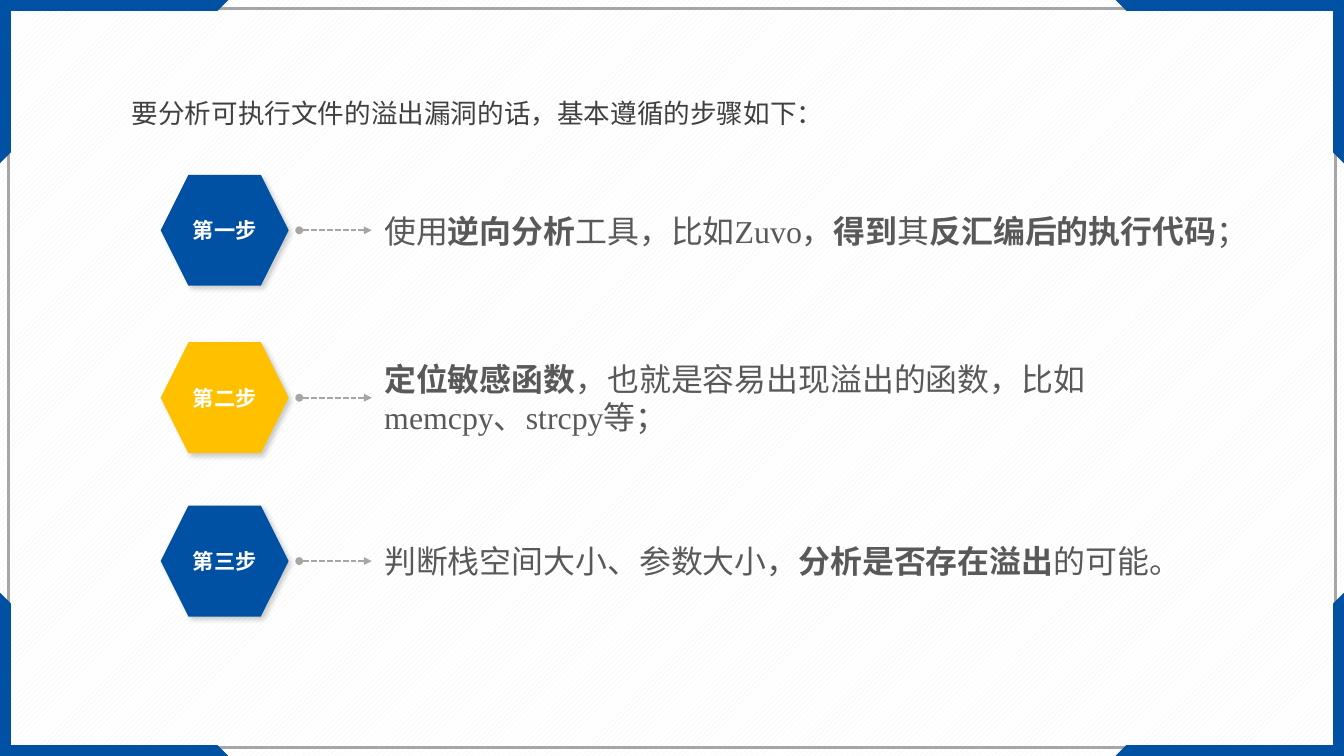
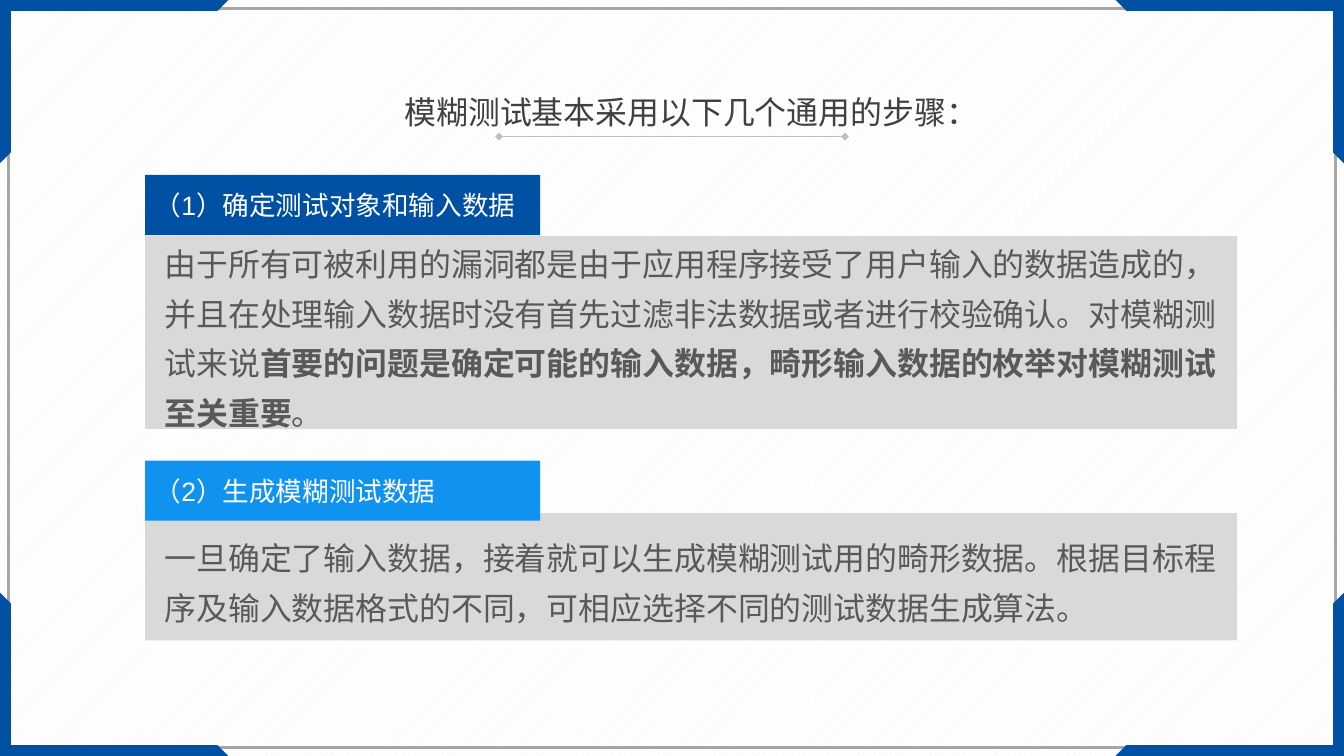
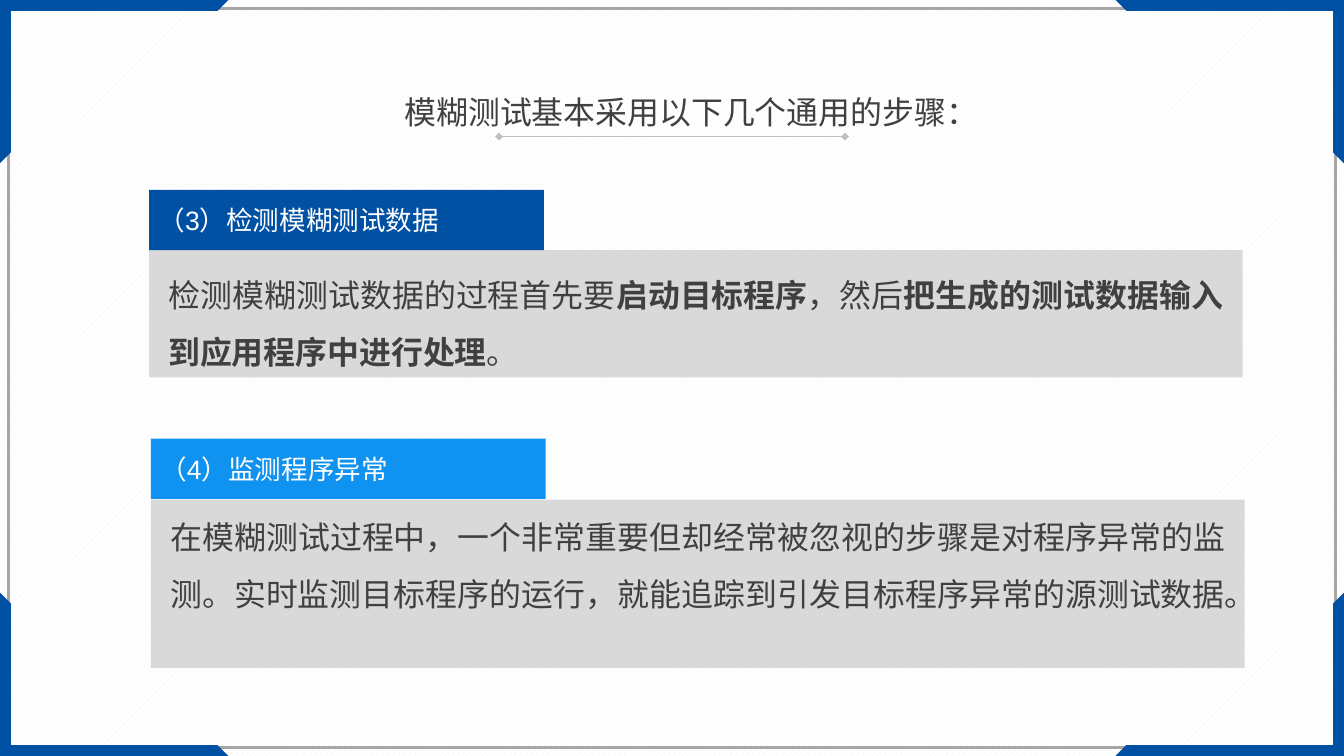
from lxml import etree
from pptx import Presentation
from pptx.dml.color import RGBColor
from pptx.enum.dml import MSO_LINE, MSO_PATTERN
from pptx.enum.lang import MSO_LANGUAGE_ID
from pptx.enum.shapes import MSO_CONNECTOR, MSO_SHAPE
from pptx.enum.text import MSO_ANCHOR, MSO_AUTO_SIZE, PP_ALIGN
from pptx.oxml.ns import qn
from pptx.util import Cm, Pt

RECTANGLE, HEXAGON = MSO_SHAPE.RECTANGLE, MSO_SHAPE.HEXAGON
STRAIGHT = MSO_CONNECTOR.STRAIGHT
DASHED = MSO_LINE.SQUARE_DOT
DIAGONAL = MSO_PATTERN.WIDE_UPWARD_DIAGONAL
TOP, MIDDLE = MSO_ANCHOR.TOP, MSO_ANCHOR.MIDDLE
LEFT, CENTER, JUSTIFY = PP_ALIGN.LEFT, PP_ALIGN.CENTER, PP_ALIGN.JUSTIFY
NO_FIT = MSO_AUTO_SIZE.NONE
CHINESE = MSO_LANGUAGE_ID.SIMPLIFIED_CHINESE

COLORS = {
    "blue": "0050A3", "sky": "1092F1", "amber": "FFC000", "white": "FFFFFF",
    "stripe": "F2F2F2", "panel": "D9D9D9", "rule": "BFBFBF", "line": "A6A6A6",
    "body": "595959", "dark": "404040",
}
SERIF, SANS, CJK = "Times New Roman", "Arial", "Noto Sans CJK SC"

SLIDE_W, SLIDE_H = 35.71, 20.09
FRAME_MARGIN = 0.23
CORNER_W, CORNER_H, CORNER_THICK = 6.07, 4.34, 0.29

STEPS_TITLE = "要分析可执行文件的溢出漏洞的话，基本遵循的步骤如下："
STEPS = [
    ("第一步", "blue", 6.12, "使用**逆向分析**工具，比如Zuvo，**得到**其**反汇编后的执行代码**；"),
    ("第二步", "amber", 10.57, "**定位敏感函数**，也就是容易出现溢出的函数，比如memcpy、strcpy等；"),
    ("第三步", "blue", 14.91, "判断栈空间大小、参数大小，**分析是否存在溢出**的可能。"),
]
HEX_X, HEX_W, HEX_H = 4.27, 3.4, 2.95
ARROW_START, ARROW_END = 7.95, 9.88
STEP_TEXT_X, STEP_TEXT_W, STEP_TEXT_H = 9.96, 22.71, 2.3

FUZZ_TITLE = "模糊测试基本采用以下几个通用的步骤："
TAB_W, TAB_H = 10.49, 1.6
FUZZ_SLIDES = [
    {
        "width": 29.01, "format": {"font": CJK, "color": "body", "spacing": 1.3},
        "cards": [
            {"label": "（1）确定测试对象和输入数据", "color": "blue",
             "x": 3.86, "tab_y": 4.65, "panel_y": 6.27, "height": 5.13,
             "text": "由于所有可被利用的漏洞都是由于应用程序接受了用户输入的数据造成的，"
                     "并且在处理输入数据时没有首先过滤非法数据或者进行校验确认。对模糊测试来说"
                     "**首要的问题是确定可能的输入数据，畸形输入数据的枚举对模糊测试至关重要**。"},
            {"label": "（2）生成模糊测试数据", "color": "sky",
             "x": 3.86, "tab_y": 12.24, "panel_y": 13.64, "height": 3.38,
             "text": "一旦确定了输入数据，接着就可以生成模糊测试用的畸形数据。"
                     "根据目标程序及输入数据格式的不同，可相应选择不同的测试数据生成算法。"},
        ],
    },
    {
        "width": 29.06,
        "format": {"font": SANS, "color": "dark", "spacing": 1.5, "align": JUSTIFY},
        "cards": [
            {"label": "（3）检测模糊测试数据", "color": "blue",
             "x": 3.96, "tab_y": 5.05, "panel_y": 6.65, "height": 3.38,
             "text": "检测模糊测试数据的过程首先要**启动目标程序**，然后"
                     "**把生成的测试数据输入到应用程序中进行处理**。"},
            {"label": "（4）监测程序异常", "color": "sky",
             "x": 4.01, "tab_y": 11.66, "panel_y": 13.28, "height": 4.47, "bottom": 1.64,
             "text": "在模糊测试过程中，一个非常重要但却经常被忽视的步骤是对程序异常的监测。"
                     "实时监测目标程序的运行，就能追踪到引发目标程序异常的源测试数据。"},
        ],
    },
]


def rgb(name):
    return RGBColor.from_string(COLORS[name])


def write(shape, text, *, size, font, color, align=LEFT, anchor=MIDDLE,
          bold=False, spacing=1.0, side=0.25, bottom=0.13):
    frame = shape.text_frame
    frame.word_wrap = True
    frame.auto_size = NO_FIT
    frame.vertical_anchor = anchor
    frame.margin_left = frame.margin_right = Cm(side)
    frame.margin_top, frame.margin_bottom = Cm(0.13), Cm(bottom)
    paragraph = frame.paragraphs[0]
    paragraph.alignment = align
    paragraph.line_spacing = spacing
    for index, part in enumerate(text.split("**")):
        if part:
            run = paragraph.add_run()
            run.text = part
            run.font.size = Pt(size)
            run.font.name = font
            run.font.bold = bold or index % 2 == 1
            run.font.color.rgb = rgb(color)
            run.font.language_id = CHINESE
    for latin in list(shape.element.iter(qn("a:latin"))):
        latin.addnext(etree.Element(qn("a:ea"), typeface=CJK))


def add_block(slide, kind, x, y, width, height, color):
    block = slide.shapes.add_shape(kind, Cm(x), Cm(y), Cm(width), Cm(height))
    block.shadow.inherit = False
    block.fill.solid()
    block.fill.fore_color.rgb = rgb(color)
    block.line.fill.background()
    return block


def add_soft_shadow(shape):
    effects = shape.element.find(".//" + qn("a:effectLst"))
    shadow = etree.SubElement(effects, qn("a:outerShdw"), blurRad=str(Pt(4)),
                              dist=str(Pt(3)), dir="2700000", algn="tl", rotWithShape="0")
    tint = etree.SubElement(shadow, qn("a:srgbClr"), val="000000")
    etree.SubElement(tint, qn("a:alpha"), val="20000")


def add_rule(slide, start, end, y, *, color, width, head, tail, dash=None):
    rule = slide.shapes.add_connector(STRAIGHT, Cm(start), Cm(y), Cm(end), Cm(y))
    rule.line.color.rgb = rgb(color)
    rule.line.width = Pt(width)
    if dash:
        rule.line.dash_style = dash
    outline = rule.element.find(".//" + qn("a:ln"))
    etree.SubElement(outline, qn("a:headEnd"), type=head)
    etree.SubElement(outline, qn("a:tailEnd"), type=tail)
    etree.SubElement(outline.getparent(), qn("a:effectLst"))


def add_corner(slide, right, bottom):
    outline = [
        (0, 0), (CORNER_W, 0), (CORNER_W - CORNER_THICK, CORNER_THICK),
        (CORNER_THICK, CORNER_THICK), (CORNER_THICK, CORNER_H - CORNER_THICK), (0, CORNER_H),
    ]
    points = [(Cm(SLIDE_W - x if right else x), Cm(SLIDE_H - y if bottom else y))
              for x, y in outline]
    builder = slide.shapes.build_freeform(*points[0])
    builder.add_line_segments(points[1:], close=True)
    corner = builder.convert_to_shape()
    corner.shadow.inherit = False
    corner.fill.solid()
    corner.fill.fore_color.rgb = rgb("blue")
    corner.line.fill.background()
    return corner


def decorate_layout(layout, slide):
    for placeholder in list(layout.placeholders):
        if placeholder.placeholder_format.idx:
            placeholder.element.getparent().remove(placeholder.element)
    backdrop = layout.background.fill
    backdrop.patterned()
    backdrop.pattern = DIAGONAL
    backdrop.fore_color.rgb = rgb("stripe")
    backdrop.back_color.rgb = rgb("white")
    border = add_block(slide, RECTANGLE, FRAME_MARGIN, FRAME_MARGIN,
                       SLIDE_W - 2 * FRAME_MARGIN, SLIDE_H - 2 * FRAME_MARGIN, "white")
    border.fill.background()
    border.line.color.rgb = rgb("line")
    border.line.width = Pt(2)
    corners = [add_corner(slide, right, bottom)
               for right in (False, True) for bottom in (False, True)]
    for part in [border, *corners]:
        layout.shapes.element.append(part.element)


def set_title(slide, text, x, y, width, height, **style):
    title = slide.shapes.title
    title.left, title.top, title.width, title.height = Cm(x), Cm(y), Cm(width), Cm(height)
    write(title, text, color="dark", anchor=TOP, **style)


def build_steps(slide):
    set_title(slide, STEPS_TITLE, 3.25, 2.44, 20.07, 1.09, size=20, font=SERIF, align=JUSTIFY)
    for label, color, center, text in STEPS:
        badge = add_block(slide, HEXAGON, HEX_X, center - HEX_H / 2, HEX_W, HEX_H, color)
        add_soft_shadow(badge)
        write(badge, label, size=16, font=SERIF, color="white", align=CENTER, bold=True)
        detail = slide.shapes.add_textbox(Cm(STEP_TEXT_X), Cm(center - STEP_TEXT_H / 2),
                                          Cm(STEP_TEXT_W), Cm(STEP_TEXT_H))
        write(detail, text, size=24, font=SERIF, color="body")
        add_rule(slide, ARROW_START, ARROW_END, center, color="line", width=1.5,
                 head="oval", tail="triangle", dash=DASHED)


def build_fuzzing(slide, content):
    set_title(slide, FUZZ_TITLE, 7.06, 2.34, 22.61, 1.27, size=24, font=CJK, align=CENTER)
    add_rule(slide, 13.26, 22.45, 3.63, color="rule", width=0.5, head="diamond", tail="diamond")
    for card in content["cards"]:
        panel = add_block(slide, RECTANGLE, card["x"], card["panel_y"],
                          content["width"], card["height"], "panel")
        write(panel, card["text"], size=24, side=0.51, bottom=card.get("bottom", 0.13),
              **content["format"])
        tab = add_block(slide, RECTANGLE, card["x"], card["tab_y"], TAB_W, TAB_H, card["color"])
        write(tab, card["label"], size=20, font=SANS, color="white")


def main():
    deck = Presentation()
    deck.slide_width, deck.slide_height = Cm(SLIDE_W), Cm(SLIDE_H)
    layout = deck.slide_layouts[5]
    steps_slide = deck.slides.add_slide(layout)
    decorate_layout(layout, steps_slide)
    build_steps(steps_slide)
    for content in FUZZ_SLIDES:
        build_fuzzing(deck.slides.add_slide(layout), content)
    deck.save("out.pptx")


if __name__ == "__main__":
    main()
